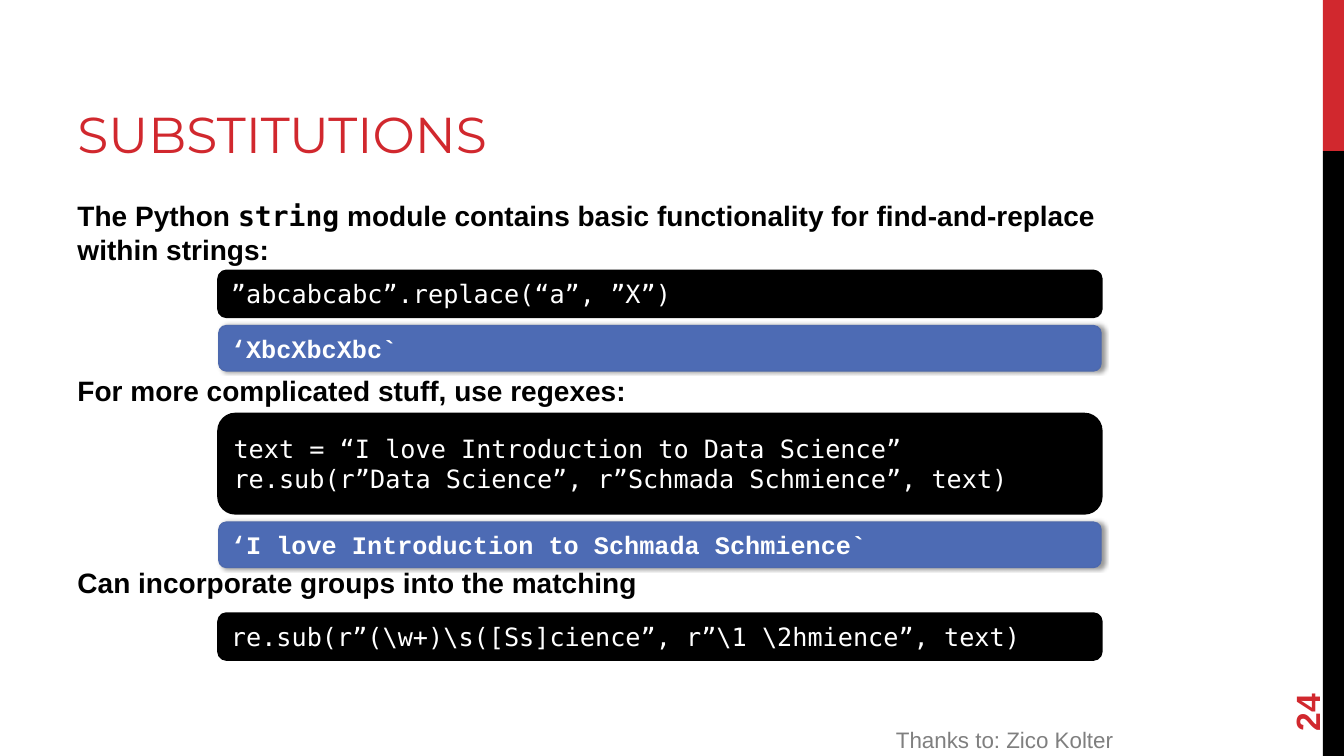
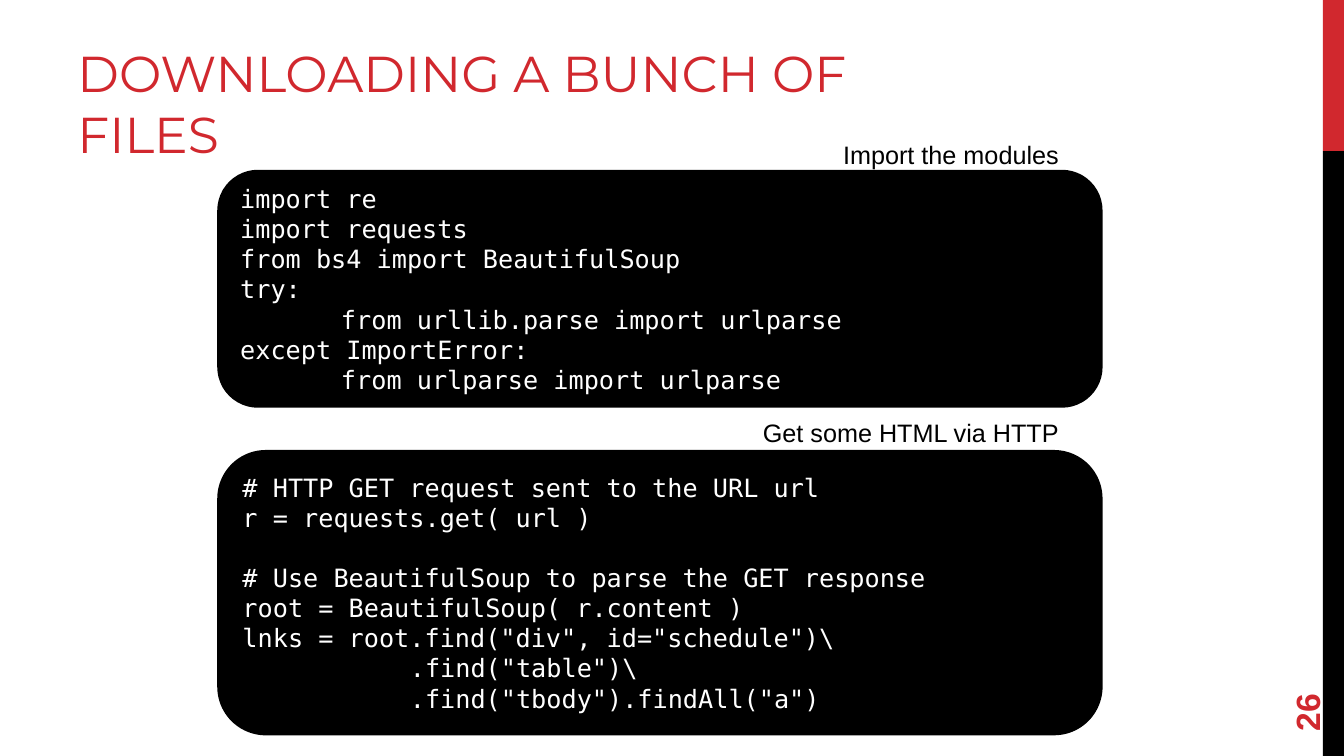
from dataclasses import dataclass

from lxml import etree
from pptx import Presentation
from pptx.dml.color import RGBColor
from pptx.enum.shapes import MSO_SHAPE
from pptx.enum.text import MSO_ANCHOR, PP_ALIGN
from pptx.oxml.ns import qn
from pptx.util import Inches, Pt

RECTANGLE = MSO_SHAPE.RECTANGLE
ROUNDED = MSO_SHAPE.ROUNDED_RECTANGLE
TOP, MIDDLE, BOTTOM = MSO_ANCHOR.TOP, MSO_ANCHOR.MIDDLE, MSO_ANCHOR.BOTTOM
LEFT, RIGHT = PP_ALIGN.LEFT, PP_ALIGN.RIGHT


@dataclass(frozen=True)
class Theme:
    red: str = "D1282E"
    black: str = "000000"
    white: str = "FFFFFF"
    gray: str = "7F7F7F"
    blue: str = "4D6BB4"
    blue_edge: str = "4D69AD"
    display: str = "Montserrat"
    sans: str = "Arial"
    mono: str = "DejaVu Sans Mono"
    output: str = "Courier New"
    title_size: int = 36
    number_size: int = 24
    heading_size: int = 20
    text_size: int = 18
    credit_size: int = 16


THEME = Theme()


def style(name, size, color, bold=False):
    return {"name": name, "size": Pt(size), "bold": bold, "color": color}


TITLE = style(THEME.display, THEME.title_size, THEME.red)
NUMBER = style(THEME.sans, THEME.number_size, THEME.red, True)
HEADING = style(THEME.sans, THEME.heading_size, THEME.black, True)
HEADING_CODE = {**HEADING, "name": THEME.mono}
CAPTION = style(THEME.sans, THEME.text_size, THEME.black)
CREDIT = style(THEME.sans, THEME.credit_size, THEME.gray)
CODE = style(THEME.mono, THEME.text_size, THEME.white)
RESULT = style(THEME.output, THEME.text_size, THEME.white, True)

BAND_LEFT, BAND_WIDTH, BAND_SPLIT = 13.12, 0.21, 1.5
PANEL_LEFT, PANEL_WIDTH = 2.17, 8.75
LINE_HEIGHT = 0.45
CAPTION_RIGHT = 10.6
TAB_INDENT = 1
CALL_INDENT = 1.66
BLANK_LINE = 21


def set_values(target, values):
    for name, value in values.items():
        setattr(target, name, value)


def add_span(para, text, text_style):
    span = para.add_run()
    span.text = text
    values = dict(text_style)
    span.font.color.rgb = RGBColor.from_string(values.pop("color"))
    set_values(span.font, values)


def write(box, paragraphs, anchor=TOP, align=LEFT):
    frame = box.text_frame
    set_values(frame, {"word_wrap": True, "vertical_anchor": anchor})
    for index, spans in enumerate(paragraphs):
        para = frame.paragraphs[0] if index == 0 else frame.add_paragraph()
        para.alignment = align
        for text, text_style in spans:
            add_span(para, text, text_style)


def add_text(page, area, spans, anchor=TOP, align=LEFT):
    box = page.shapes.add_textbox(*map(Inches, area))
    write(box, [spans], anchor, align)
    return box


def add_block(page, kind, area, fill, edge=None, edge_width=1):
    block = page.shapes.add_shape(kind, *map(Inches, area))
    block.shadow.inherit = False
    block.fill.solid()
    block.fill.fore_color.rgb = RGBColor.from_string(fill)
    if edge:
        block.line.color.rgb = RGBColor.from_string(edge)
        block.line.width = Pt(edge_width)
    else:
        block.line.fill.background()
    return block


def add_shadow(block):
    effects = block._element.spPr.find(qn("a:effectLst"))
    shadow = etree.SubElement(effects, qn("a:outerShdw"))
    shadow.set("blurRad", str(Pt(3.1)))
    shadow.set("dist", str(Pt(1.8)))
    shadow.set("dir", "0")
    color = etree.SubElement(shadow, qn("a:srgbClr"), val=THEME.black)
    etree.SubElement(color, qn("a:alpha"), val="40000")


def add_code(page, top, height, lines, indents=None, gaps=()):
    area = (PANEL_LEFT, top, PANEL_WIDTH, height)
    panel = add_block(page, ROUNDED, area, THEME.black, THEME.black, 2.25)
    write(panel, [[(line, CODE)] for line in lines], MIDDLE)
    paragraphs = panel.text_frame.paragraphs
    for index, indent in (indents or {}).items():
        paragraphs[index]._p.get_or_add_pPr().set("marL", str(Inches(indent)))
    for index in gaps:
        paragraphs[index].space_before = Pt(BLANK_LINE)


def add_result(page, top, text):
    area = (PANEL_LEFT, top, PANEL_WIDTH, LINE_HEIGHT)
    panel = add_block(page, ROUNDED, area, THEME.blue, THEME.blue_edge)
    add_shadow(panel)
    write(panel, [[(text, RESULT)]], MIDDLE)


def add_heading(page, top, height, spans):
    add_text(page, (0.67, top, 11.11, height), spans)


def add_caption(page, top, width, text):
    area = (CAPTION_RIGHT - width, top, width, 0.4)
    add_text(page, area, [(text, CAPTION)], align=RIGHT)


def add_page(deck, title, number):
    page = deck.slides.add_slide(deck.slide_layouts[6])
    for top, bottom, color in ((0, BAND_SPLIT, THEME.red), (BAND_SPLIT, 7.5, THEME.black)):
        add_block(page, RECTANGLE, (BAND_LEFT, top, BAND_WIDTH, bottom - top), color)
    add_text(page, (0.67, 0.17, 8.44, 1.5), [(title, TITLE)], BOTTOM)
    number_box = add_text(page, (12.24, 6.37, 1.44, 0.53), [(str(number), NUMBER)], MIDDLE)
    number_box.rotation = 270
    return page


def build_substitutions(deck):
    page = add_page(deck, "SUBSTITUTIONS", 24)
    add_heading(page, 1.92, 0.75, [
        ("The Python ", HEADING),
        ("string", HEADING_CODE),
        (" module contains basic functionality for find-and-replace within strings:", HEADING),
    ])
    add_code(page, 2.69, LINE_HEIGHT, ["”abcabcabc”.replace(“a”, ”X”)"])
    add_result(page, 3.23, "‘XbcXbcXbc`")
    add_heading(page, 3.66, 0.42, [("For more complicated stuff, use regexes:", HEADING)])
    add_code(page, 4.11, 0.98, [
        "text = “I love Introduction to Data Science”",
        "re.sub(r”Data Science”, r”Schmada Schmience”, text)",
    ])
    add_result(page, 5.18, "‘I love Introduction to Schmada Schmience`")
    add_heading(page, 5.56, 0.42, [("Can incorporate groups into the matching", HEADING)])
    add_code(page, 6.09, LINE_HEIGHT, [r"re.sub(r”(\w+)\s([Ss]cience”, r”\1 \2hmience”, text)"])
    add_text(page, (5.73, 7.15, 5.41, 0.35), [("Thanks to: Zico Kolter", CREDIT)], align=RIGHT)


def build_downloading(deck):
    page = add_page(deck, "DOWNLOADING A BUNCH OF FILES", 26)
    add_code(page, 1.7, 2.33, [
        "import re",
        "import requests",
        "from bs4 import BeautifulSoup",
        "try:",
        "from urllib.parse import urlparse",
        "except ImportError:",
        "from urlparse import urlparse",
    ], indents={4: TAB_INDENT, 6: TAB_INDENT})
    add_caption(page, 1.33, 2.54, "Import the modules")
    add_code(page, 4.48, 2.8, [
        "# HTTP GET request sent to the URL url",
        "r = requests.get( url )",
        "# Use BeautifulSoup to parse the GET response",
        "root = BeautifulSoup( r.content )",
        'lnks = root.find("div", id="schedule")\\',
        '.find("table")\\',
        '.find("tbody").findAll("a")',
    ], indents={5: CALL_INDENT, 6: CALL_INDENT}, gaps=(2,))
    add_caption(page, 4.09, 3.15, "Get some HTML via HTTP")


def main():
    deck = Presentation()
    set_values(deck, {"slide_width": Inches(13.33), "slide_height": Inches(7.5)})
    build_substitutions(deck)
    build_downloading(deck)
    deck.save("out.pptx")


if __name__ == "__main__":
    main()
